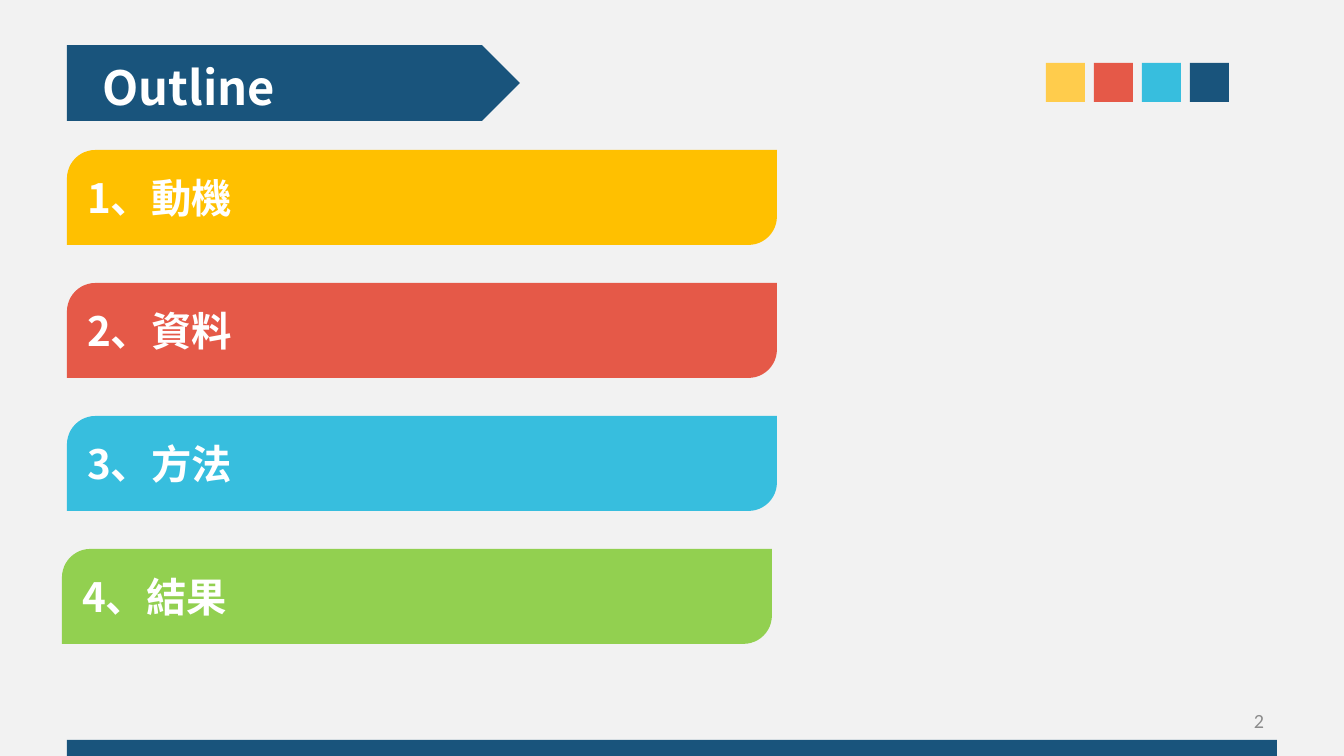
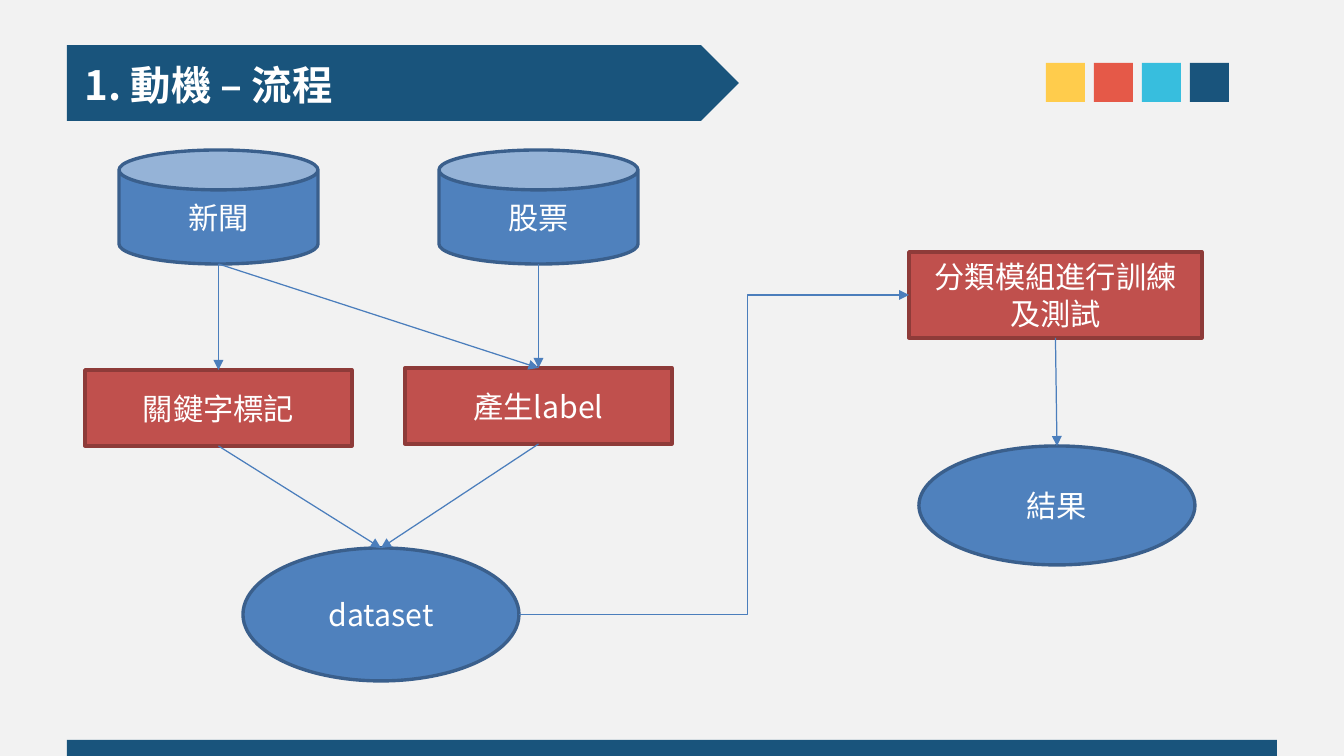
from lxml.etree import SubElement
from pptx import Presentation
from pptx.dml.color import RGBColor
from pptx.enum.shapes import MSO_CONNECTOR as Connector, MSO_SHAPE as Shape
from pptx.enum.text import MSO_ANCHOR as Anchor, PP_ALIGN as Align
from pptx.oxml.ns import qn
from pptx.util import Emu, Pt

SCALE = 7557  # EMU per px, 121 px to the inch
SLIDE_SIZE = (1344, 756)

COLORS = {
    "background": "F2F2F2", "navy": "19547C", "yellow": "FFCC4C",
    "red": "E55948", "cyan": "37BEDE", "amber": "FFC000",
    "green": "92D050", "white": "FFFFFF", "gray": "8C8C8C",
    "blue": "4F81BD", "blue_edge": "3A5F8C", "brick": "C0504D",
    "brick_edge": "8E3B39", "arrow": "4B7EBC",
}
CJK_FONT = "Noto Sans CJK SC"
HEADING = {"size": Pt(28), "bold": True, "name": CJK_FONT}
SUBHEADING = {**HEADING, "size": Pt(24)}
NODE_TEXT = {"size": Pt(18), "bold": False, "name": CJK_FONT}
NUMBER_TEXT = {"size": Pt(12), "bold": False, "name": "Calibri"}

# Each kind: preset, fill, edge, connection site index of each side
NODE_KINDS = {
    "store": (Shape.CAN, "blue", "blue_edge", {"top": 1, "left": 2, "bottom": 3, "right": 4}),
    "step": (Shape.RECTANGLE, "brick", "brick_edge", {"top": 0, "left": 1, "bottom": 2, "right": 3}),
    "data": (Shape.OVAL, "blue", "blue_edge", {"top": 0, "left": 2, "bottom": 4, "right": 6}),
}
SIDES = {"top": (0.5, 0), "bottom": (0.5, 1), "left": (0, 0.5), "right": (1, 0.5)}


def px(value):
    return Emu(round(value * SCALE))


def color(name):
    return RGBColor.from_string(COLORS[name])


def write(shape, text, style, ink="white", align=Align.LEFT, anchor=Anchor.MIDDLE):
    frame = shape.text_frame
    for key, value in {"word_wrap": True, "vertical_anchor": anchor}.items():
        setattr(frame, key, value)
    paragraph = frame.paragraphs[0]
    paragraph.alignment = align
    run = paragraph.add_run()
    run.text = text
    for key, value in style.items():
        setattr(run.font, key, value)
    run.font.color.rgb = color(ink)
    SubElement(run._r.get_or_add_rPr(), qn("a:ea"), typeface=style["name"])


def add_box(slide, preset, box, fill, edge=None):
    shape = slide.shapes.add_shape(preset, *map(px, box))
    shape.shadow.inherit = False
    shape.fill.solid()
    shape.fill.fore_color.rgb = color(fill)
    if edge:
        shape.line.color.rgb = color(edge)
        shape.line.width = Pt(2)
    else:
        shape.line.fill.background()
    return shape


def add_label(slide, box, text, style, **layout):
    write(slide.shapes.add_textbox(*map(px, box)), text, style, **layout)


def add_banner(slide, box, title, style, indent):
    left, top, width, height = box
    add_box(slide, Shape.PENTAGON, box, "navy")
    add_label(slide, (left + indent[0], top + indent[1], 300, height - 12),
              title, style, anchor=Anchor.TOP)


def add_swatches(slide, left, top, side=39, pitch=48):
    for index, fill in enumerate(("yellow", "red", "cyan", "navy")):
        add_box(slide, Shape.RECTANGLE, (left + index * pitch, top, side, side), fill)


def add_framed_slide(presentation, title, style, banner_width, indent):
    """Add a slide with the shared background, banner, swatches and footer."""
    slide = presentation.slides.add_slide(presentation.slide_layouts[6])
    slide.background.fill.solid()
    slide.background.fill.fore_color.rgb = color("background")
    add_banner(slide, (67, 45, banner_width, 76), title, style, indent)
    add_box(slide, Shape.RECTANGLE, (67, 740, 1210, 16), "navy")
    add_swatches(slide, 1046, 63)
    return slide


def add_agenda(slide, box, items, pitch):
    """Stack one bar per item, the first one in the given box."""
    left, top, width, height = box
    for index, (text, fill, shift) in enumerate(items):
        bar = add_box(slide, Shape.ROUND_2_DIAG_RECTANGLE,
                      (left + shift, top + index * pitch, width, height), fill)
        bar.adjustments[0] = 0.3
        write(bar, text, SUBHEADING)


def add_node(slide, kind, box, text):
    preset, fill, edge, sites = NODE_KINDS[kind]
    shape = add_box(slide, preset, box, fill, edge)
    if kind == "store":
        shape.adjustments[0] = 0.35
    write(shape, text, NODE_TEXT, align=Align.CENTER)
    return shape, box, sites


def side_point(box, side):
    left, top, width, height = box
    across, down = SIDES[side]
    return left + across * width, top + down * height


def add_arrow(slide, source, source_side, target, target_side, elbow=None):
    """Join two nodes; elbow is the share of the width before the bend."""
    kind = Connector.STRAIGHT if elbow is None else Connector.ELBOW
    points = side_point(source[1], source_side) + side_point(target[1], target_side)
    arrow = slide.shapes.add_connector(kind, *map(px, points))
    arrow.line.color.rgb = color("arrow")
    arrow.line.width = Pt(0.75)
    element = arrow._element
    SubElement(arrow.line._get_or_add_ln(), qn("a:tailEnd"), type="triangle")
    SubElement(element.spPr, qn("a:effectLst"))
    ends = (("a:stCxn", source, source_side), ("a:endCxn", target, target_side))
    for tag, (shape, _, sites), side in ends:
        SubElement(element.nvCxnSpPr.cNvCxnSpPr, qn(tag),
                   id=str(shape.shape_id), idx=str(sites[side]))
    if elbow is not None:
        guides = element.spPr.find(qn("a:prstGeom")).find(qn("a:avLst"))
        SubElement(guides, qn("a:gd"), name="adj1", fmla=f"val {round(elbow * 100000)}")


def add_outline_slide(presentation):
    slide = add_framed_slide(presentation, "Outline", HEADING, 453, (24, 7))
    items = [("1、動機", "amber", 0), ("2、資料", "red", 0),
             ("3、方法", "cyan", 0), ("4、結果", "green", -5)]
    add_agenda(slide, (67, 150, 710, 95), items, pitch=133)
    add_label(slide, (963, 701, 313, 40), "2", NUMBER_TEXT, ink="gray", align=Align.RIGHT)


def add_flow_slide(presentation):
    slide = add_framed_slide(presentation, "1. 動機 – 流程", SUBHEADING, 672, (6, 9))
    nodes = {
        "news": ("store", (119, 150, 199, 114), "新聞"),
        "stocks": ("store", (439, 150, 199, 114), "股票"),
        "keywords": ("step", (85, 370, 267, 76), "關鍵字標記"),
        "label": ("step", (405, 368, 267, 76), "產生label"),
        "training": ("step", (909, 252, 293, 86), "分類模組進行訓練及測試"),
        "dataset": ("data", (243, 548, 276, 133), "dataset"),
        "result": ("data", (919, 446, 276, 119), "結果"),
    }
    placed = {name: add_node(slide, *node) for name, node in nodes.items()}
    downward = [("news", "keywords"), ("news", "label"), ("stocks", "label"),
                ("keywords", "dataset"), ("label", "dataset"), ("training", "result")]
    for source, target in downward:
        add_arrow(slide, placed[source], "bottom", placed[target], "top")
    add_arrow(slide, placed["dataset"], "right", placed["training"], "left", elbow=0.585)


def main():
    presentation = Presentation()
    presentation.slide_width, presentation.slide_height = map(px, SLIDE_SIZE)
    add_outline_slide(presentation)
    add_flow_slide(presentation)
    presentation.save("out.pptx")


if __name__ == "__main__":
    main()
